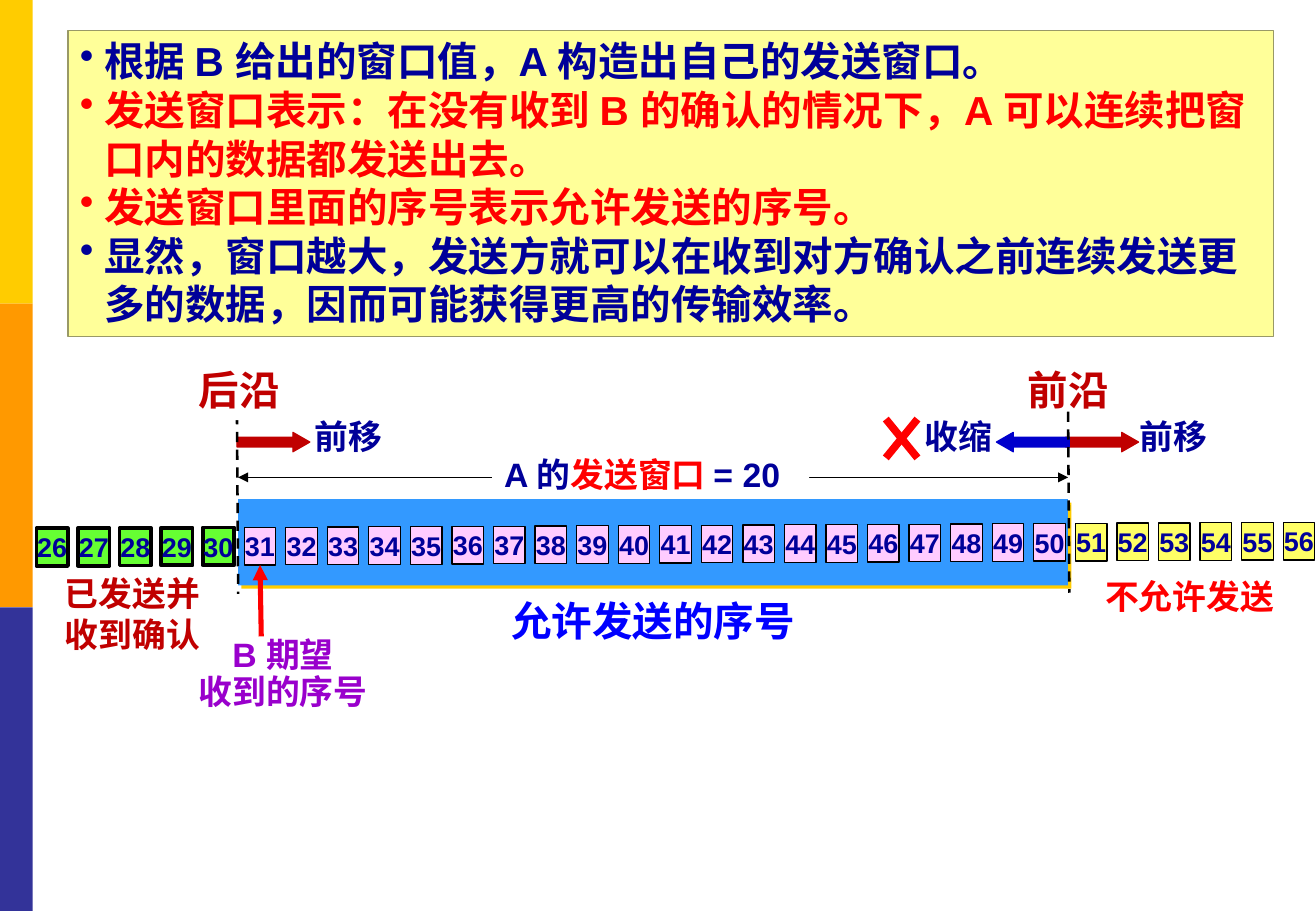
import pptx
import pptx.dml.color
import pptx.enum.dml
import pptx.enum.shapes
import pptx.enum.text
import pptx.oxml
import pptx.oxml.ns
import pptx.util
from pptx.util import Inches
from lxml import etree

SHAPES = pptx.enum.shapes.MSO_SHAPE
ALIGN = pptx.enum.text.PP_ALIGN
NAVY, RED, DARK_RED, BLACK, WHITE = "000099", "FF0000", "C00000", "000000", "FFFFFF"
FIRST, STEP = 26, 0.342  # first sequence number, distance between cells


def color(hex_string):
    return pptx.dml.color.RGBColor.from_string(hex_string)


def add_element(parent, tag, **attributes):
    element = etree.SubElement(parent, pptx.oxml.ns.qn(tag))
    for name, value in attributes.items():
        element.set(name, value)
    return element


def paint(shape, fill, line=None, width=0.75):
    shape.fill.solid()
    shape.fill.fore_color.rgb = color(fill)
    if line:
        shape.line.color.rgb = color(line)
        shape.line.width = pptx.util.Pt(width)
    else:
        shape.line.fill.background()


def style(paragraph, size, text_color=None, align=ALIGN.CENTER):
    paragraph.alignment = align
    font = paragraph.font
    font.name = "Arial"
    font.size = pptx.util.Pt(size)
    font.bold = True
    if text_color:
        font.color.rgb = color(text_color)


def add_block(slide, kind, left, top, width, height, fill, line=None, line_width=0.75):
    shape = slide.shapes.add_shape(
        kind, Inches(left), Inches(top), Inches(width), Inches(height))
    shape.shadow.inherit = False
    paint(shape, fill, line, line_width)
    return shape


def add_arrow(slide, kind, left, fill):
    arrow = add_block(slide, kind, left, 3.56, 0.6, 0.16, fill, fill)
    arrow.adjustments[0] = 0.5
    arrow.adjustments[1] = 0.87


def add_text_frame(slide, left, top, width, height, fill=None, line=None, wrap=False):
    box = slide.shapes.add_textbox(
        Inches(left), Inches(top), Inches(width), Inches(height))
    if fill:
        paint(box, fill, line)
    frame = box.text_frame
    frame.word_wrap = wrap
    frame.auto_size = pptx.enum.text.MSO_AUTO_SIZE.SHAPE_TO_FIT_TEXT
    return frame


def add_label(slide, text, left, top, width, height, size, text_color,
              fill=None, spacing=None):
    frame = add_text_frame(slide, left, top, width, height, fill)
    frame.text = text
    for paragraph in frame.paragraphs:
        if spacing:
            paragraph.line_spacing = spacing
        style(paragraph, size, text_color)


def add_line(slide, start, end, line_color, width, dashed=False, head=False, tail=False):
    line = slide.shapes.add_connector(
        pptx.enum.shapes.MSO_CONNECTOR.STRAIGHT, *map(Inches, start + end))
    line.line.color.rgb = color(line_color)
    line.line.width = pptx.util.Pt(width)
    if dashed:
        line.line.dash_style = pptx.enum.dml.MSO_LINE.DASH
    properties = line.line._get_or_add_ln()
    if head:
        add_element(properties, "a:headEnd", type="triangle")
    if tail:
        add_element(properties, "a:tailEnd", type="triangle")
    add_element(line._element.spPr, "a:effectLst")
    return line


def add_cell(slide, number):
    index = number - FIRST
    if number <= 30:
        fill, line_width = "66FF33", 2.25
    else:
        fill, line_width = ("FFCCFF" if number <= 50 else "FFFF66"), 0.75
    cell = add_block(slide, SHAPES.RECTANGLE, 0.3 + STEP * index, 4.35 - 0.05 * index / 30,
                     0.26, 0.31, fill, BLACK, line_width)
    frame = cell.text_frame
    frame.word_wrap = False
    frame.vertical_anchor = pptx.enum.text.MSO_ANCHOR.MIDDLE
    frame.text = str(number)
    style(frame.paragraphs[0], 16, NAVY)
    return cell


def add_window(slide):
    window = add_block(slide, SHAPES.RECTANGLE, 1.96, 4.11, 6.83, 0.71, "3399FF")
    effects = window._element.spPr.find(pptx.oxml.ns.qn("a:effectLst"))
    shadow = add_element(effects, "a:outerShdw", dist=str(pptx.util.Pt(2.8)),
                         dir="2700000", algn="ctr", rotWithShape="0")
    add_element(shadow, "a:srgbClr", val="FFCC00")


def add_window_title(slide):
    paragraph = add_text_frame(slide, 4.05, 3.69, 2.61, 0.44, WHITE).paragraphs[0]
    style(paragraph, 20, align=ALIGN.LEFT)
    for text, text_color in (("A 的", NAVY), ("发送窗口 ", RED), ("= 20", NAVY)):
        run = paragraph.add_run()
        run.text = text
        run.font.color.rgb = color(text_color)


def add_notes_box(slide):
    points = (
        ("根据 B 给出的窗口值，A 构造出自己的发送窗口。", NAVY),
        ("发送窗口表示：在没有收到 B 的确认的情况下，A 可以连续把窗口内的数据都发送出去。", RED),
        ("发送窗口里面的序号表示允许发送的序号。", RED),
        ("显然，窗口越大，发送方就可以在收到对方确认之前连续发送更多的数据，"
         "因而可能获得更高的传输效率。", NAVY),
    )
    frame = add_text_frame(slide, 0.56, 0.25, 9.92, 2.52, "FFFF99", "999966", wrap=True)
    frame.text = "\n".join(text for text, _ in points)
    for paragraph, (_, text_color) in zip(frame.paragraphs, points):
        properties = paragraph._p.get_or_add_pPr()
        properties.set("marL", str(Inches(0.2)))
        properties.set("indent", str(-Inches(0.2)))
        add_element(properties, "a:buChar", char="•")
        style(paragraph, 24, text_color, ALIGN.LEFT)


def main():
    presentation = pptx.Presentation()
    presentation.slide_width = Inches(10.83)
    presentation.slide_height = Inches(7.5)
    slide = presentation.slides.add_slide(presentation.slide_layouts[6])

    # Side bands
    for index, fill in enumerate(("FFCC00", "FF9900", "333399")):
        add_block(slide, SHAPES.RECTANGLE, 0, 2.5 * index, 0.27, 2.5, fill)

    # Movement of the window edges
    add_label(slide, "前移", 9.28, 3.37, 0.76, 0.44, 20, NAVY, WHITE)
    add_arrow(slide, SHAPES.RIGHT_ARROW, 8.77, DARK_RED)
    add_arrow(slide, SHAPES.LEFT_ARROW, 8.2, "0000CC")
    add_arrow(slide, SHAPES.RIGHT_ARROW, 1.95, DARK_RED)

    # Captions and window width
    add_label(slide, "不允许发送", 8.99, 4.69, 1.6, 0.44, 20, RED, WHITE)
    add_label(slide, "已发送并\n收到确认", 0.43, 4.67, 1.32, 0.77, 20, DARK_RED, WHITE)
    add_line(slide, (1.96, 3.93), (8.79, 3.93), BLACK, 0.75, head=True, tail=True)
    add_window_title(slide)
    add_label(slide, "允许发送的序号", 4.09, 4.86, 2.57, 0.5, 24, "0000FF", WHITE)

    # Send window and sequence numbers
    add_window(slide)
    cells = {number: add_cell(slide, number) for number in range(FIRST, 57)}

    # Next expected number
    expected = add_line(slide, (2.15, 5.24), (2.14, 4.66), RED, 3, tail=True)
    expected.end_connect(cells[31], 2)
    add_label(slide, "B 期望\n收到的序号", 1.53, 5.21, 1.6, 0.71, 20, "9900CC", spacing=0.9)

    # Window edges
    add_line(slide, (1.95, 3.41), (1.96, 4.89), BLACK, 1.5, dashed=True)
    add_label(slide, "前沿", 8.35, 2.96, 0.88, 0.5, 24, DARK_RED, WHITE)
    add_label(slide, "后沿", 1.53, 2.96, 0.88, 0.5, 24, DARK_RED, WHITE)
    add_line(slide, (8.79, 3.39), (8.8, 4.88), BLACK, 1.5, dashed=True)
    add_label(slide, "前移", 2.49, 3.37, 0.76, 0.44, 20, NAVY)
    add_label(slide, "收缩", 7.51, 3.37, 0.76, 0.44, 20, NAVY)

    # Cross over shrinking
    for start, end in ((7.55, 7.29), (7.29, 7.55)):
        add_line(slide, (start, 3.45), (end, 3.77), RED, 4.5)

    add_notes_box(slide)
    presentation.save("out.pptx")


if __name__ == "__main__":
    main()
